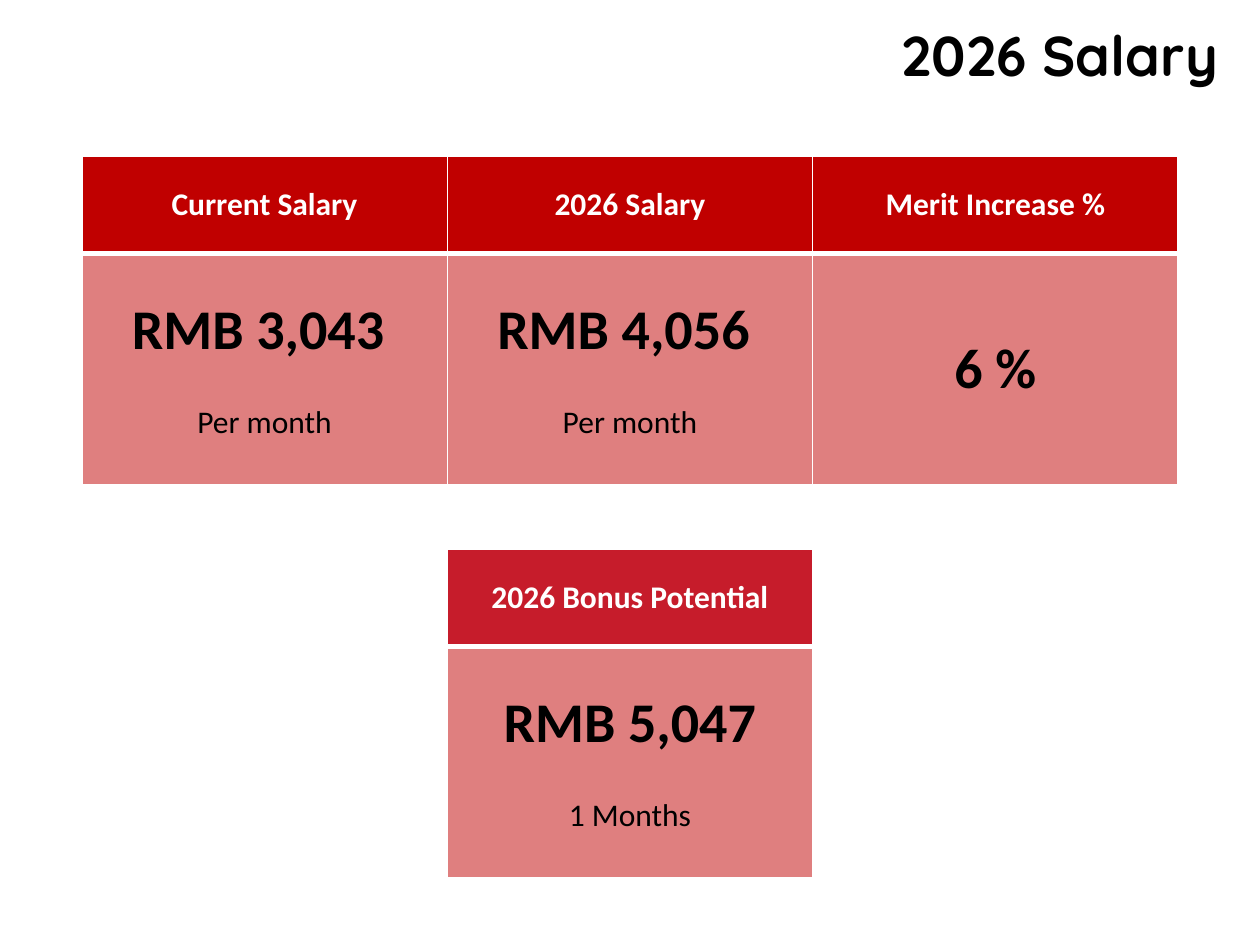
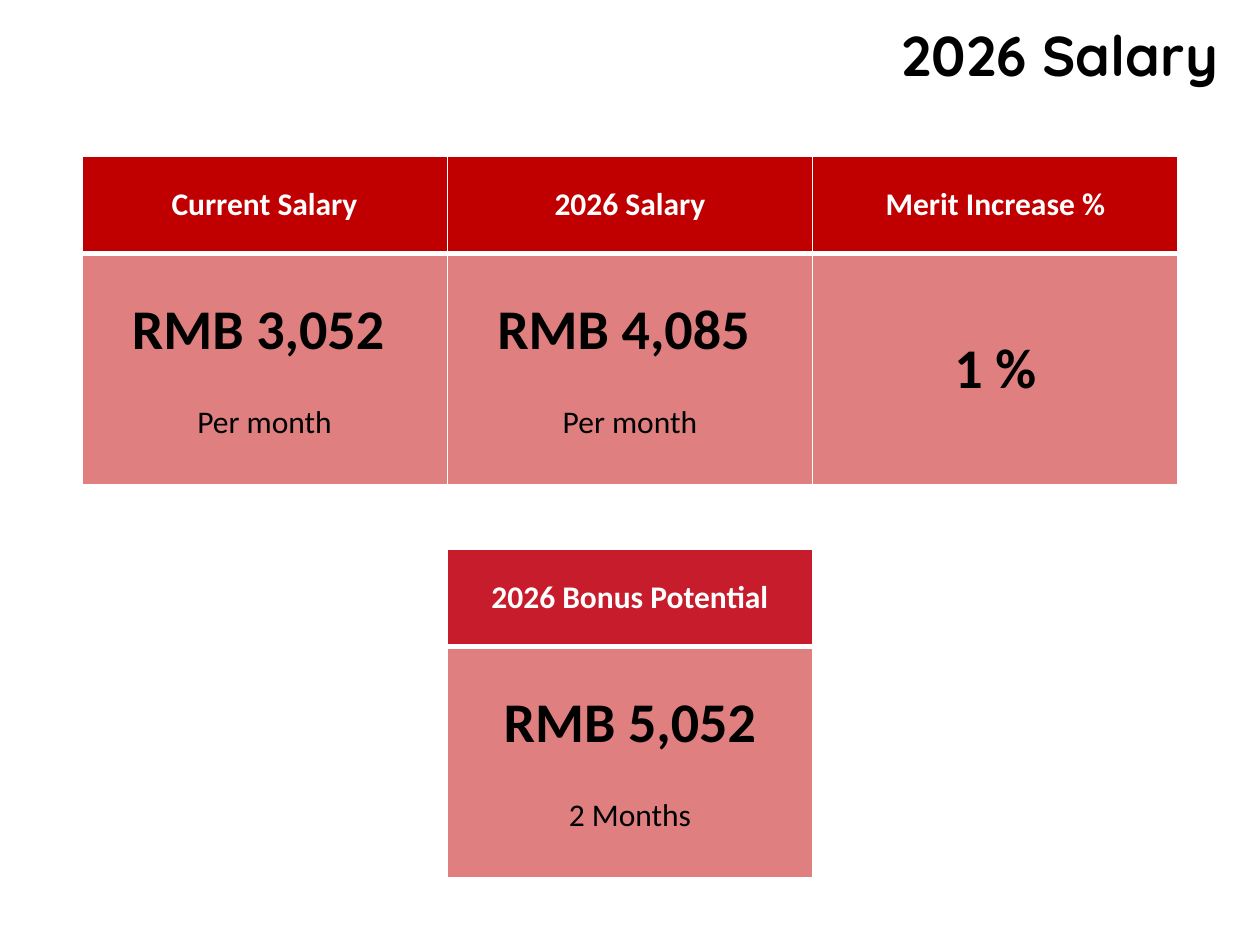
from lxml.etree import SubElement
from pptx import Presentation
from pptx.dml.color import RGBColor
from pptx.enum.text import MSO_ANCHOR, PP_ALIGN
from pptx.oxml.ns import qn
from pptx.util import Inches, Pt

COLORS = {"header": "C00000", "bonus": "C61C2B", "body": "DF7F7F",
          "light": "FFFFFF", "dark": "000000"}
TITLE_FONT, CARD_FONT = "Quicksand", "Calibri"
MARGIN, CARD_WIDTH = 0.65, 2.9
FIRST_TOP, ROW_PITCH = 1.24, 3.12
HEADER_HEIGHT, BODY_HEIGHT = 0.77, 1.84

SALARIES = [
    {"current": "RMB 3,043 ", "next": "RMB 4,056 ", "merit": "6 %",
     "bonus": "RMB 5,047", "months": "1 Months"},
    {"current": "RMB 3,052 ", "next": "RMB 4,085 ", "merit": "1 %",
     "bonus": "RMB 5,052", "months": "2 Months"},
]


def write(paragraph, text, size, color, bold=True, font=CARD_FONT, align=PP_ALIGN.CENTER):
    """Add one formatted run to a paragraph."""
    paragraph.alignment = align
    run = paragraph.add_run()
    run.text = text
    run.font.name, run.font.size, run.font.bold = font, Pt(size), bold
    run.font.color.rgb = RGBColor.from_string(COLORS[color])


def style_cell(cell, fill, top, bottom):
    """Give a cell white borders, a fill and middle anchoring."""
    properties = cell._tc.get_or_add_tcPr()
    for side, width in (("L", 1), ("R", 1), ("T", top), ("B", bottom)):
        border = SubElement(properties, qn(f"a:ln{side}"), w=str(Pt(width)))
        SubElement(SubElement(border, qn("a:solidFill")), qn("a:srgbClr"), val=COLORS["light"])
    cell.fill.solid()
    cell.fill.fore_color.rgb = RGBColor.from_string(COLORS[fill])
    cell.vertical_anchor = MSO_ANCHOR.MIDDLE


def add_title(slide, text):
    """Place the right-aligned slide title."""
    title = slide.shapes.title
    title.left, title.top, title.width, title.height = map(Inches, (3.51, 0.11, 6.26, 1.11))
    title.text_frame.vertical_anchor = MSO_ANCHOR.TOP
    write(title.text_frame.paragraphs[0], text, 32, "dark", font=TITLE_FONT, align=PP_ALIGN.RIGHT)


def add_card(slide, column, row, heading, amount, note="", header="header"):
    """Add a two-row table with a heading, an amount and an optional note."""
    table = slide.shapes.add_table(
        2, 1, Inches(MARGIN + column * CARD_WIDTH), Inches(FIRST_TOP + row * ROW_PITCH),
        Inches(CARD_WIDTH), Inches(HEADER_HEIGHT + BODY_HEIGHT)).table
    table.horz_banding = False
    table.rows[0].height, table.rows[1].height = Inches(HEADER_HEIGHT), Inches(BODY_HEIGHT)
    heading_cell, amount_cell = table.cell(0, 0), table.cell(1, 0)
    style_cell(heading_cell, header, top=1, bottom=3)
    style_cell(amount_cell, "body", top=3, bottom=1)
    write(heading_cell.text_frame.paragraphs[0], heading, 18, "light")
    write(amount_cell.text_frame.paragraphs[0], amount, 32, "dark")
    if note:
        note_line = amount_cell.text_frame.add_paragraph()
        note_line.space_before = Pt(22)
        write(note_line, note, 18, "dark", bold=False)


def add_salary_slide(deck, salary):
    """Add one employee's salary slide."""
    slide = deck.slides.add_slide(deck.slide_layouts[5])
    add_title(slide, "2026 Salary")
    add_card(slide, 0, 0, "Current Salary", salary["current"], "Per month")
    add_card(slide, 1, 0, "2026 Salary", salary["next"], "Per month")
    add_card(slide, 2, 0, "Merit Increase %", salary["merit"])
    add_card(slide, 1, 1, "2026 Bonus Potential", salary["bonus"], salary["months"], "bonus")


def main():
    """Build and save the salary deck."""
    deck = Presentation()
    deck.slide_width, deck.slide_height = Inches(10), Inches(7.5)
    for salary in SALARIES:
        add_salary_slide(deck, salary)
    deck.save("out.pptx")


if __name__ == "__main__":
    main()
